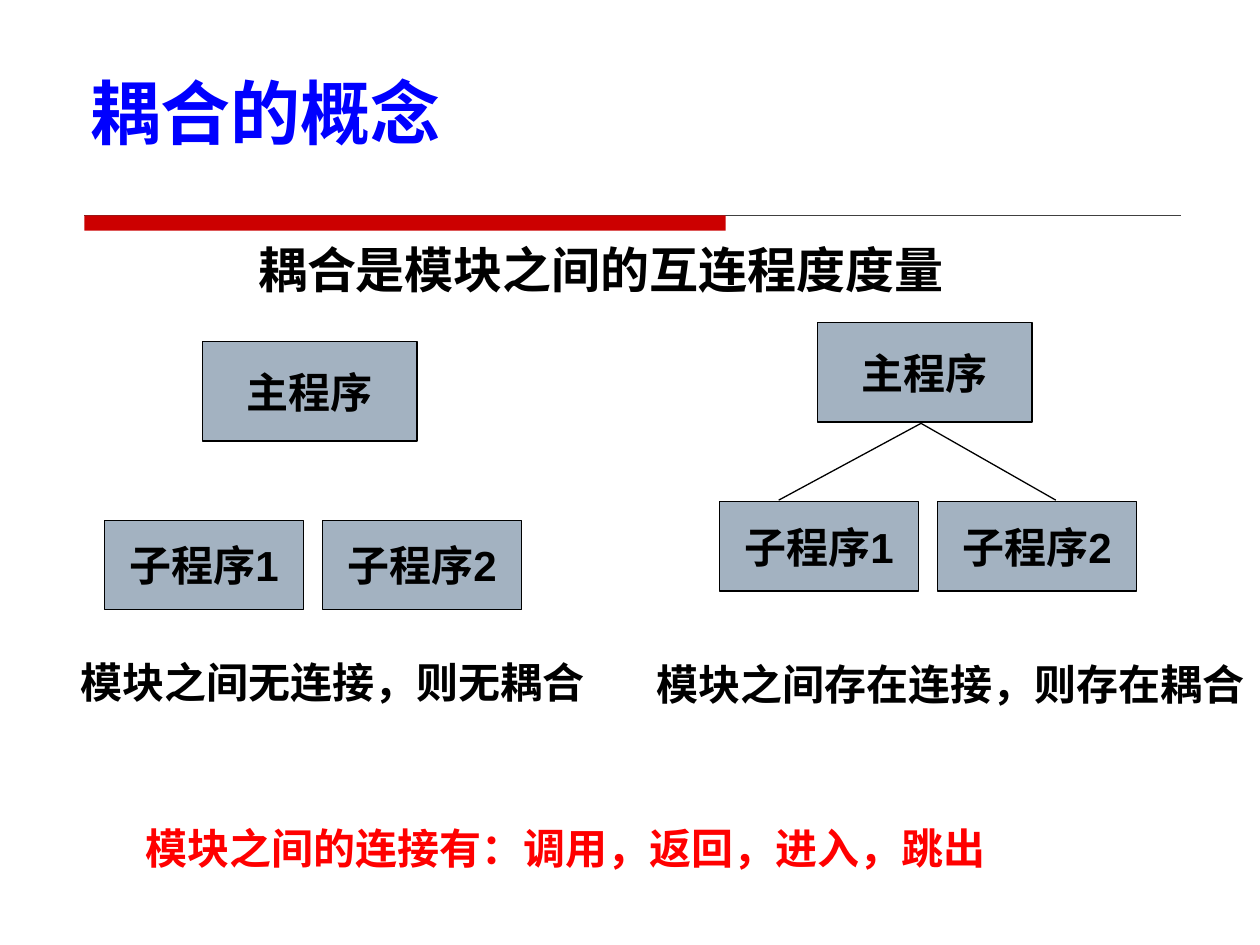
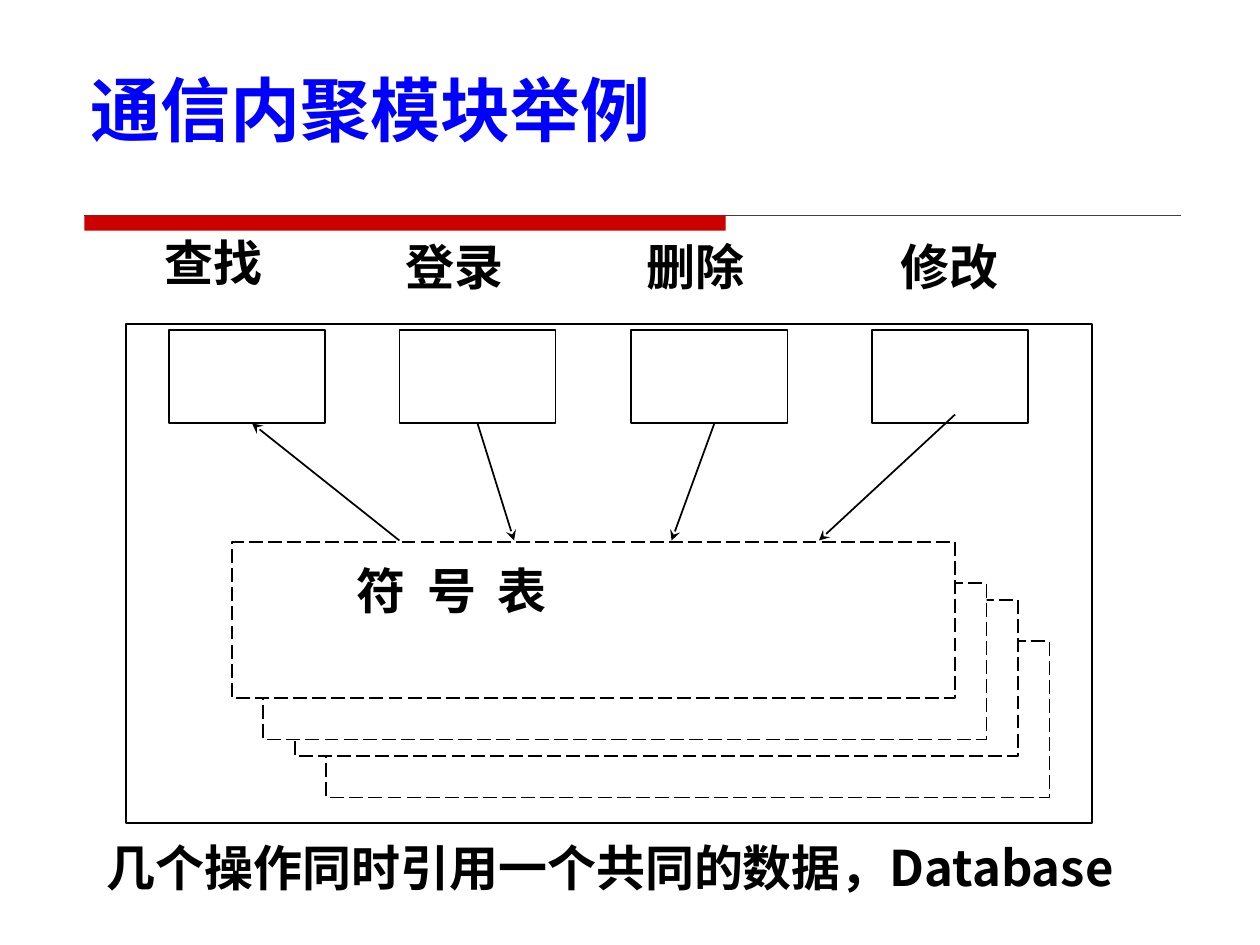
from lxml import etree
from pptx import Presentation
from pptx.dml.color import RGBColor
from pptx.enum import dml, shapes, text
from pptx.oxml import ns
from pptx.util import Inches, Pt

BLACK, WHITE, RED = "000000", "FFFFFF", "FF0000"
TITLE_BLUE, BAND_RED, RULE_GREY, BOX_GREY = "0000FF", "CC0000", "404040", "A3B2C1"
CJK = "Noto Sans CJK SC"


def write(shape, words, size, font=CJK, color=BLACK, align=text.PP_ALIGN.LEFT, wrap=True):
    """Put one bold paragraph in a shape and return its default run properties."""
    frame = shape.text_frame
    frame.text = words
    frame.auto_size = text.MSO_AUTO_SIZE.NONE
    frame.word_wrap = wrap
    para = frame.paragraphs[0]
    para.alignment = align
    para.font.size, para.font.bold, para.font.name = Pt(size), True, font
    para.font.color.rgb = RGBColor.from_string(color)
    props = para._p.pPr.find(ns.qn("a:defRPr"))
    etree.SubElement(props, ns.qn("a:ea")).set("typeface", CJK)
    return props


def draw(page, kind, place, line=BLACK, width=1, fill=None):
    """Add a "box" (left, top, width, height) or a "line" (x1, y1, x2, y2)."""
    lengths = [Inches(value) for value in place]
    if kind == "line":
        item = page.shapes.add_connector(shapes.MSO_CONNECTOR.STRAIGHT, *lengths)
        etree.SubElement(item._element.spPr, ns.qn("a:effectLst"))
    else:
        item = page.shapes.add_shape(shapes.MSO_SHAPE.RECTANGLE, *lengths)
        item.shadow.inherit = False
        if fill:
            item.fill.solid()
            item.fill.fore_color.rgb = RGBColor.from_string(fill)
        else:
            item.fill.background()
    if line:
        item.line.color.rgb = RGBColor.from_string(line)
        item.line.width = Pt(width)
    else:
        item.line.fill.background()
    return item


deck = Presentation()
deck.slide_width, deck.slide_height = Inches(10), Inches(7.5)

# Title, rule and red band on every page
pages = []
for heading, place in [("耦合的概念", (0.62, 0.26, 9, 1.25)),
                       ("通信内聚模块举例", (0.62, 0.35, 5.92, 1.02))]:
    page = deck.slides.add_slide(deck.slide_layouts[5])
    title = page.shapes.title
    title.left, title.top, title.width, title.height = [Inches(value) for value in place]
    write(title, heading, 40, color=TITLE_BLUE)
    draw(page, "line", (0.67, 1.71, 9.37, 1.71), RULE_GREY, 0.75)
    draw(page, "box", (0.67, 1.71, 5.09, 0.12), None, fill=BAND_RED)
    pages.append(page)
coupling, cohesion = pages

# Slide 1: the same three modules, unconnected and connected
for left, top in [(0.83, 2.71), (5.71, 2.56)]:
    for name, dx, dy, width, height in [("主程序", 0.78, 0, 1.7, 0.79),
                                        ("子程序1", 0, 1.42, 1.58, 0.71),
                                        ("子程序2", 1.73, 1.42, 1.58, 0.71)]:
        module = draw(coupling, "box", (left + dx, top + dy, width, height), width=0.75, fill=BOX_GREY)
        write(module, name, 24, "Arial", align=text.PP_ALIGN.CENTER, wrap=False)

for end in (6.18, 8.38):
    draw(coupling, "line", (7.31, 3.36, end, 3.97), width=0.75)

for words, left, top, width, height, size, color, wrap in [
    ("模块之间无连接，则无耦合", 0.54, 5.16, 4.22, 0.5, 24, BLACK, False),
    ("模块之间存在连接，则存在耦合", 5.11, 5.18, 4.89, 0.5, 24, BLACK, False),
    ("耦合是模块之间的互连程度度量", 1.95, 1.85, 6.22, 0.57, 28, BLACK, True),
    ("模块之间的连接有：调用，返回，进入，跳出", 1.06, 6.48, 7.48, 0.5, 24, RED, True),
]:
    box = coupling.shapes.add_textbox(Inches(left), Inches(top), Inches(width), Inches(height))
    write(box, words, size, "Arial", color, wrap=wrap)

# Slide 2: four operations on one stack of symbol tables
draw(cohesion, "box", (1, 2.57, 7.67, 3.96))
for left, top in [(2.59, 5.09), (2.34, 4.76), (2.09, 4.63), (1.84, 4.3)]:
    table_sheet = draw(cohesion, "box", (left, top, 5.74, 1.24), fill=WHITE)
    table_sheet.line.dash_style = dml.MSO_LINE.LONG_DASH

operations = [draw(cohesion, "box", (left, 2.62, 1.24, 0.74)) for left in (1.34, 3.17, 5.01, 6.92)]

arrows = []
for place in [(3.17, 4.29, 2, 3.36), (3.79, 3.36, 4.08, 4.29),
              (5.67, 3.36, 5.33, 4.29), (7.58, 3.29, 6.5, 4.29)]:
    arrow = draw(cohesion, "line", place)
    outline = arrow._element.spPr.find(ns.qn("a:ln"))
    etree.SubElement(outline, ns.qn("a:tailEnd")).set("type", "stealth")
    arrows.append(arrow)
arrows[1].begin_connect(operations[1], 2)

for words, left, top, width in [
    ("查找", 1.21, 1.8, 1.93), ("登录", 3.12, 1.83, 1.93),
    ("删除", 5.03, 1.83, 1.93), ("修改", 7.05, 1.83, 1.93),
    ("几个操作同时引用一个共同的数据，Database", 0.75, 6.6, 8.92),
]:
    box = cohesion.shapes.add_textbox(Inches(left), Inches(top), Inches(width), Inches(0.57))
    write(box, words, 28)

table_name = cohesion.shapes.add_textbox(Inches(2.73), Inches(4.4), Inches(4.43), Inches(0.57))
write(table_name, "符 号 表", 28).set("spc", "310")

deck.save("out.pptx")
